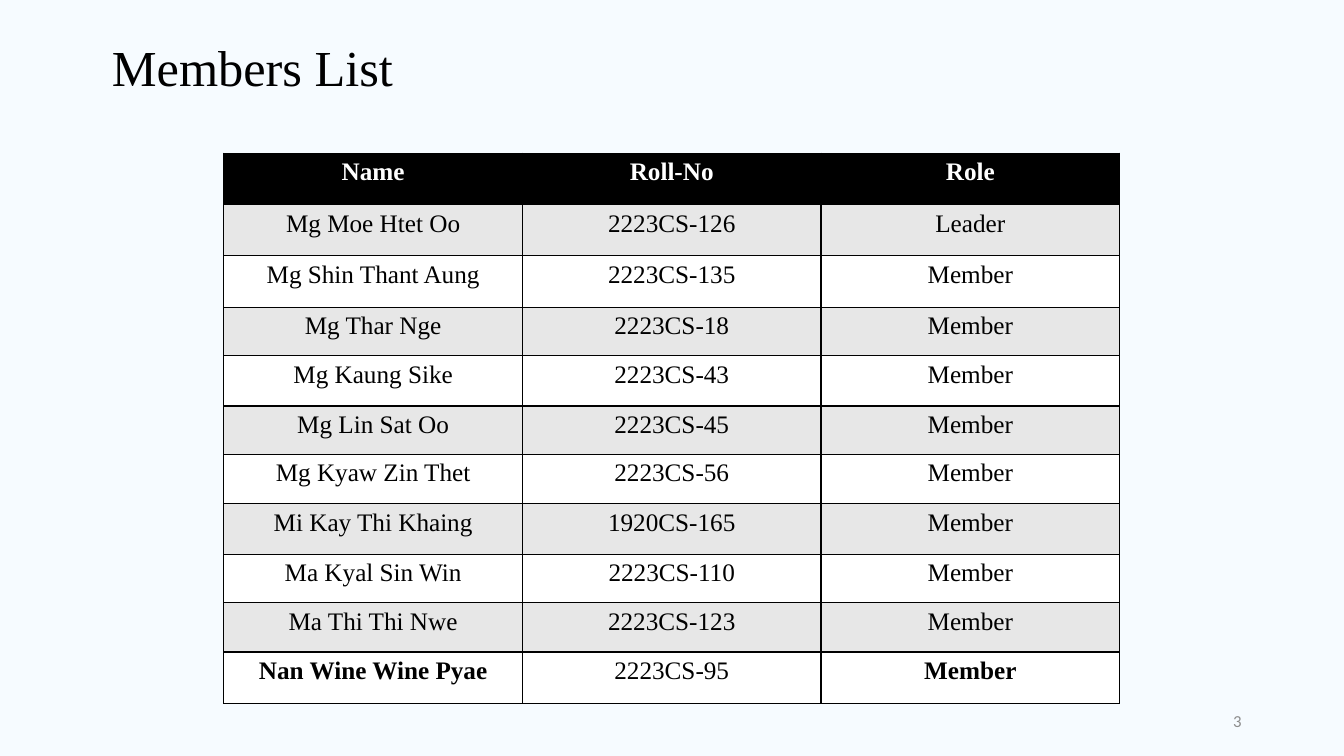
import pptx
import pptx.util
import pptx.dml.color
import pptx.enum.text
import pptx.oxml
import pptx.oxml.ns

Pt = pptx.util.Pt
ALIGN = pptx.enum.text.PP_ALIGN
ANCHOR = pptx.enum.text.MSO_ANCHOR

HEADING = "Members List"
PAGE = "3"
COLUMNS = ("Name", "Roll-No", "Role")
MEMBERS = [
    ("Mg Moe Htet Oo", "2223CS-126", "Leader"),
    ("Mg Shin Thant Aung", "2223CS-135", "Member"),
    ("Mg Thar Nge", "2223CS-18", "Member"),
    ("Mg Kaung Sike", "2223CS-43", "Member"),
    ("Mg Lin Sat Oo", "2223CS-45", "Member"),
    ("Mg Kyaw Zin Thet", "2223CS-56", "Member"),
    ("Mi Kay Thi Khaing", "1920CS-165", "Member"),
    ("Ma Kyal Sin Win", "2223CS-110", "Member"),
    ("Ma Thi Thi Nwe", "2223CS-123", "Member"),
    ("Nan Wine Wine Pyae", "2223CS-95", "Member"),
]
ROW_HEIGHTS = (36.7, 36.7, 36.7, 34.6, 36, 34.6, 35.3, 36, 34.6, 35.3, 36.7)
COLUMN_WIDTH = 213.3
SERIF = "Times New Roman"


def rgb(value):
    return pptx.dml.color.RGBColor.from_string(value)


def write(frame, text, size, font, color, align, bold=False):
    frame.text = text
    paragraph = frame.paragraphs[0]
    paragraph.alignment = align
    style = paragraph.runs[0].font
    style.size, style.name, style.bold = Pt(size), font, bold
    style.color.rgb = rgb(color)


def place(part, left, top, width, height):
    part.left, part.top, part.width, part.height = map(Pt, (left, top, width, height))


def add_borders(cell, color, width):
    properties = cell._tc.get_or_add_tcPr()
    for side in ("lnL", "lnR", "lnT", "lnB"):
        properties.append(pptx.oxml.parse_xml(
            f'<a:{side} {pptx.oxml.ns.nsdecls("a")} w="{Pt(width)}">'
            f'<a:solidFill><a:srgbClr val="{color}"/></a:solidFill></a:{side}>'))


def add_heading(slide):
    heading = slide.shapes.title
    place(heading, 72.7, 22.3, 250, 51)
    write(heading.text_frame, HEADING, 36, SERIF, "000000", ALIGN.LEFT)
    heading.text_frame.vertical_anchor = ANCHOR.TOP
    heading.text_frame.word_wrap = False


def add_members(slide):
    rows = [COLUMNS] + MEMBERS
    members = slide.shapes.add_table(
        len(rows), len(COLUMNS), Pt(159.9), Pt(109.4),
        Pt(COLUMN_WIDTH * len(COLUMNS)), Pt(sum(ROW_HEIGHTS))).table
    for column in members.columns:
        column.width = Pt(COLUMN_WIDTH)
    for r, (row, height) in enumerate(zip(rows, ROW_HEIGHTS)):
        members.rows[r].height = Pt(height)
        header, last = r == 0, r == len(rows) - 1
        fill = "000000" if header else "E7E7E7" if r % 2 else "FFFFFF"
        for c, text in enumerate(row):
            cell = members.cell(r, c)
            bold = header or (last and COLUMNS[c] != "Roll-No")
            write(cell.text_frame, text, 18, SERIF,
                  "FFFFFF" if header else "000000", ALIGN.CENTER, bold)
            add_borders(cell, "000000", 1)
            cell.fill.solid()
            cell.fill.fore_color.rgb = rgb(fill)


def add_page_number(slide):
    page = slide.shapes.add_textbox(Pt(678), Pt(500.5), Pt(216), Pt(28.8))
    page.text_frame.word_wrap = True
    page.text_frame.vertical_anchor = ANCHOR.MIDDLE
    write(page.text_frame, PAGE, 12, "Calibri", "8C8C8C", ALIGN.RIGHT)


def main():
    deck = pptx.Presentation()
    deck.slide_width, deck.slide_height = Pt(960), Pt(540)
    slide = deck.slides.add_slide(deck.slide_layouts[5])
    slide.background.fill.solid()
    slide.background.fill.fore_color.rgb = rgb("F6FBFF")
    add_heading(slide)
    add_members(slide)
    add_page_number(slide)
    deck.save("out.pptx")


if __name__ == "__main__":
    main()
